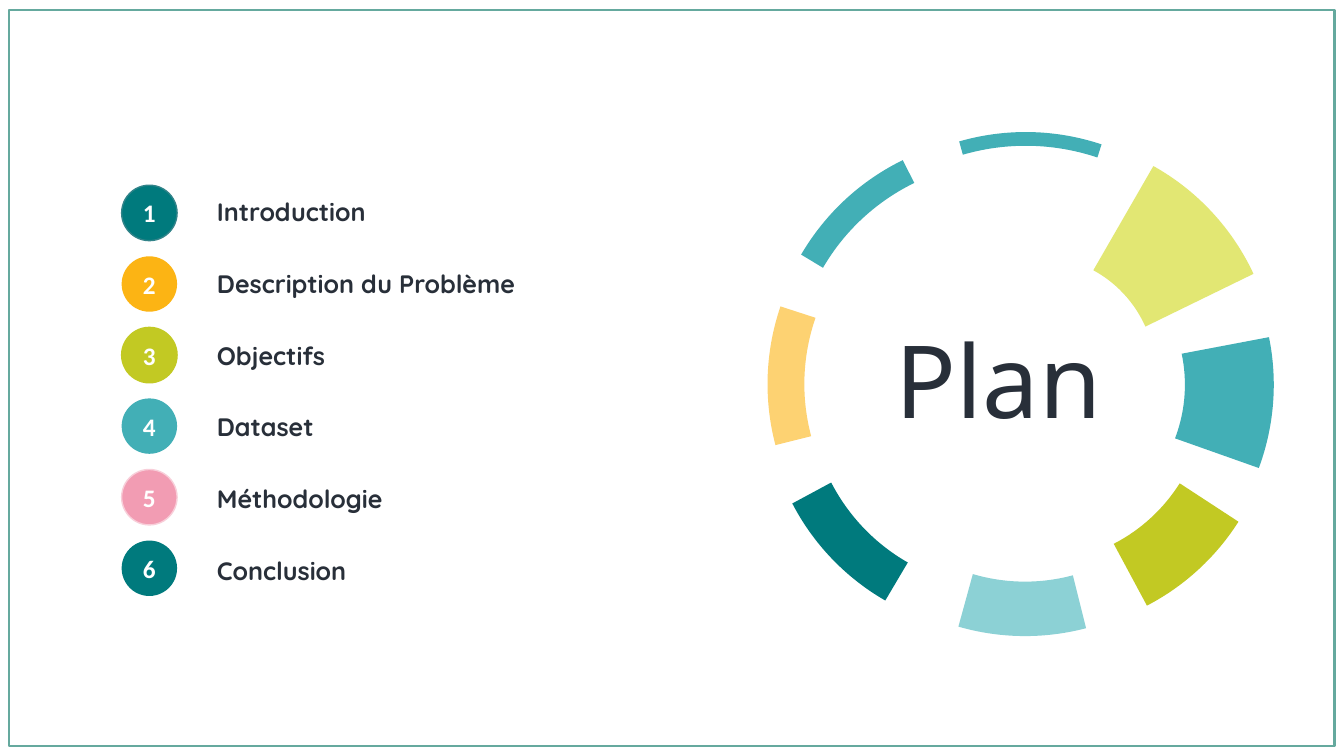
from pptx import Presentation
from pptx import util as u
from pptx.dml.color import RGBColor
from pptx.enum import shapes, text

deck = Presentation()
deck.slide_width, deck.slide_height = u.Inches(13.33), u.Inches(7.5)
page = deck.slides.add_slide(deck.slide_layouts[6])
column, row = deck.slide_width / 100, deck.slide_height / 100


def paint(color_format, color):
    color_format.rgb = RGBColor.from_string(color)


def write(box, words, font, size, color, bold, align):
    box.text_frame.word_wrap = True
    para = box.text_frame.paragraphs[0]
    para.text, para.alignment = words, align
    para.font.name, para.font.size, para.font.bold = font, u.Pt(size), bold
    paint(para.font.color, color)


arcs = [
    (58.05, 0, 152.81, 172.54, 0.028, "42AFB6"),
    (57.4, 315, 153.58, 172.79, 0.052, "42AFB6"),
    (57.6, 270, 153.58, 172.8, 0.075, "FDD272"),
    (57.15, 224.7, 153.58, 172.17, 0.09, "007A7D"),
    (58, 180, 153.58, 171.22, 0.111, "8CD1D5"),
    (58.2, 137.2, 153.58, 170.72, 0.143, "C2C923"),
    (57.75, 93.3, 153.58, 171.73, 0.181, "42AFB6"),
    (58.2, 44, 153.58, 173.99, 0.245, "E2E773"),
]
for left, turn, start, end, thickness, color in arcs:
    arc = page.shapes.add_shape(shapes.MSO_SHAPE.BLOCK_ARC, int(left * column), int(17.47 * row),
                                u.Inches(4.87), u.Inches(5))
    arc.shadow.inherit = False
    arc.rotation = turn
    for position, value in enumerate((start, end, thickness)):
        arc.adjustments[position] = value
    arc.fill.solid()
    paint(arc.fill.fore_color, color)
    arc.line.fill.background()

title = page.shapes.add_textbox(int(65.25 * column), int(41.33 * row), int(18.1 * column), int(17.5 * row))
write(title, "Plan", "Noto Sans", 72, "282F39", False, text.PP_ALIGN.CENTER)

topics = [
    ("Introduction", "007A7D", "318389"),
    ("Description du Problème", "FCB414", None),
    ("Objectifs", "C2C923", "C2C923"),
    ("Dataset", "42AFB6", None),
    ("Méthodologie", "F29CB3", "F8CED9"),
    ("Conclusion", "007A7D", None),
]
for index, (topic, color, outline) in enumerate(topics):
    disc = page.shapes.add_shape(shapes.MSO_SHAPE.OVAL, int(9.05 * column), int((24.5 + 9.4 * index) * row),
                                 u.Inches(0.55), u.Inches(0.55))
    disc.shadow.inherit = False
    disc.fill.solid()
    paint(disc.fill.fore_color, color)
    if outline:
        paint(disc.line.color, outline)
        disc.line.width = u.Pt(1)
    else:
        disc.line.fill.background()
    disc.text_frame.vertical_anchor = text.MSO_ANCHOR.MIDDLE
    write(disc, str(index + 1), "Calibri", 18, "FFFFFF", True, text.PP_ALIGN.CENTER)
    label = page.shapes.add_textbox(int(15.4 * column), int((25.3 + 9.5 * index) * row),
                                    int(32 * column), u.Inches(0.4))
    write(label, topic, "Quicksand", 18, "282F39", True, text.PP_ALIGN.LEFT)

frame = page.shapes.add_shape(shapes.MSO_SHAPE.RECTANGLE, int(0.7 * column), int(1.33 * row),
                              int(98.6 * column), int(97.33 * row))
frame.shadow.inherit = False
frame.fill.background()
paint(frame.line.color, "65A99E")
frame.line.width = u.Pt(1.5)

deck.save("out.pptx")
